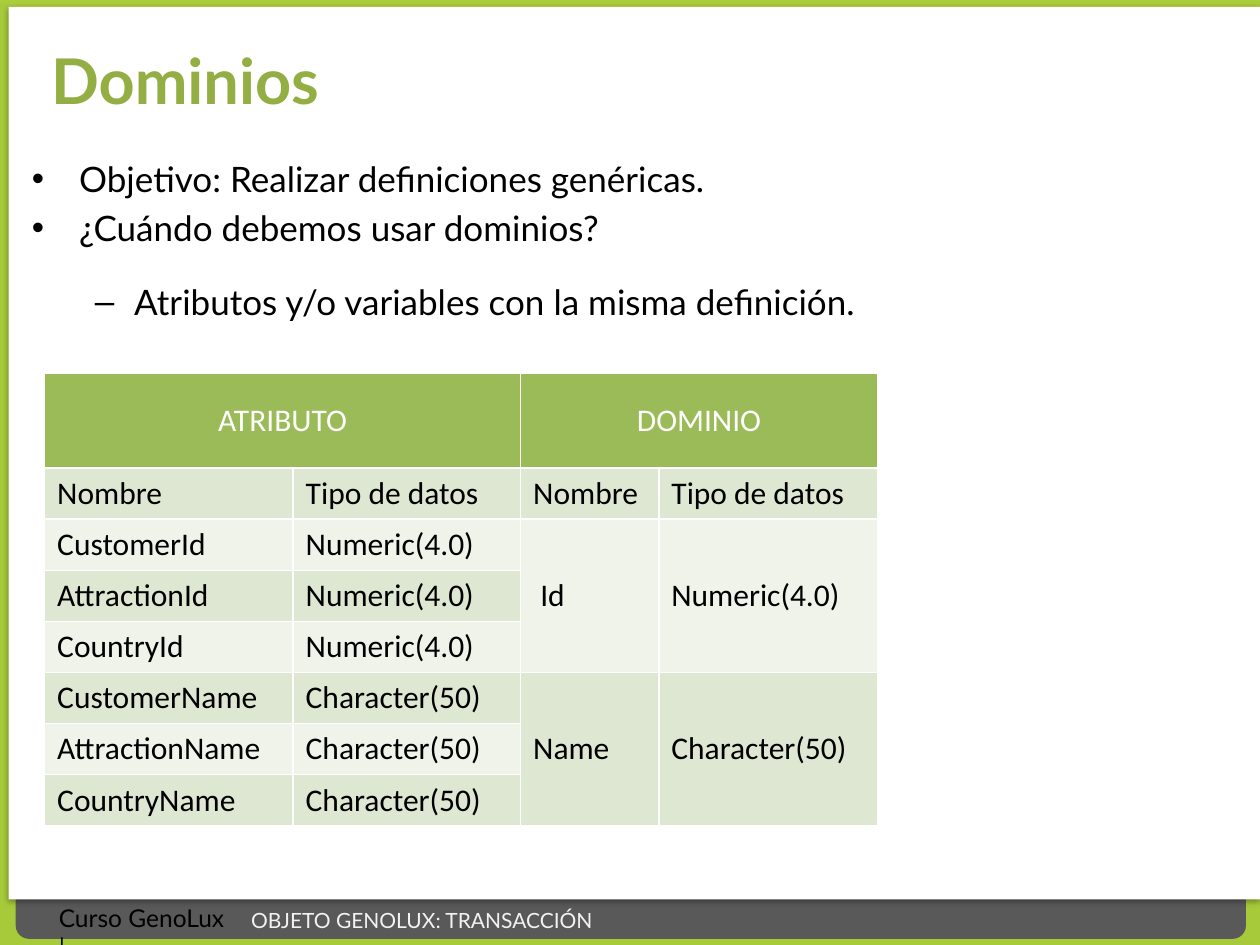
from lxml import etree
from pptx import Presentation
from pptx.dml.color import RGBColor
from pptx.enum import shapes, text
from pptx.oxml import ns
from pptx.util import Pt

COLORS = {
    "lime": "A6CE2A", "footer": "595959", "white": "FFFFFF", "black": "000000",
    "title": "93AE43", "header": "9BBB59", "dark_band": "DEE7D1",
    "light_band": "EFF3EA", "section": "F2F2F2",
}
BULLETS = [  # text, level, space before (None keeps the template's)
    ("Objetivo: Realizar definiciones genéricas.", 0, None),
    ("¿Cuándo debemos usar dominios?", 0, None),
    ("Atributos y/o variables con la misma definición.", 1, 18),
]
COLUMN_WIDTHS = [142, 130, 79, 125]
HEADER_HEIGHT, ROW_HEIGHT = 54, 28.8
DOMAINS = [  # domain, data type, attributes based on it
    (" Id", "Numeric(4.0)", ["CustomerId", "AttractionId", "CountryId"]),
    ("Name", "Character(50)", ["CustomerName", "AttractionName", "CountryName"]),
]


def rgb(name):
    return RGBColor.from_string(COLORS[name])


def place(item, left, top, width, height):
    item.left, item.top = Pt(left), Pt(top)
    item.width, item.height = Pt(width), Pt(height)


def add_run(paragraph, words, size, color, font="Lato", bold=False):
    run = paragraph.add_run()
    run.text = words
    run.font.name, run.font.size, run.font.bold = font, Pt(size), bold
    run.font.color.rgb = rgb(color)


def add_child(parent, tag, **attributes):
    child = etree.SubElement(parent, ns.qn(tag))
    for name, value in attributes.items():
        child.set(name, str(value))
    return child


def add_panel(slide, kind, box, color, opacity=100, shadow=False):
    panel = slide.shapes.add_shape(kind, *map(Pt, box))
    panel.shadow.inherit = False
    panel.fill.solid()
    panel.fill.fore_color.rgb = rgb(color)
    panel.line.fill.background()
    properties = panel._element.spPr
    if opacity < 100:
        fill_color = properties.find(".//" + ns.qn("a:srgbClr"))
        add_child(fill_color, "a:alpha", val=opacity * 1000)
    if shadow:
        outer = add_child(properties.find(ns.qn("a:effectLst")), "a:outerShdw",
                          blurRad=Pt(3.1), dist=Pt(1.8), dir=5400000,
                          rotWithShape=0)
        shade = add_child(outer, "a:srgbClr", val=COLORS["black"])
        add_child(shade, "a:alpha", val=35000)


def add_backdrop(slide):
    rectangle = shapes.MSO_SHAPE.RECTANGLE
    rounded = shapes.MSO_SHAPE.ROUNDED_RECTANGLE
    add_panel(slide, rectangle, (-2, -1.5, 725, 549), "lime", 88, shadow=True)
    add_panel(slide, rounded, (9, 491, 703, 45.5), "footer")
    add_panel(slide, rectangle, (5, 4, 715, 510), "white", shadow=True)


def add_label(slide, words, box, size, color, inset=None):
    label = slide.shapes.add_textbox(*map(Pt, box))
    frame = label.text_frame
    frame.word_wrap = True
    if inset is not None:
        frame.margin_left = frame.margin_right = Pt(inset)
        frame.margin_top = frame.margin_bottom = Pt(inset)
        frame.vertical_anchor = text.MSO_ANCHOR.MIDDLE
    add_run(frame.paragraphs[0], words, size, color)


def raise_to_front(placeholder):
    element = placeholder._element
    element.getparent().append(element)


def fill_title(title, words):
    raise_to_front(title)
    place(title, 22, 20, 672, 91)
    frame = title.text_frame
    frame.vertical_anchor = text.MSO_ANCHOR.TOP
    frame.paragraphs[0].alignment = text.PP_ALIGN.LEFT
    add_run(frame.paragraphs[0], words, 36, "title", bold=True)


def fill_bullets(body):
    raise_to_front(body)
    place(body, 11, 86.5, 548, 110)
    frame = body.text_frame
    for index, (words, level, gap) in enumerate(BULLETS):
        paragraph = frame.add_paragraph() if index else frame.paragraphs[0]
        paragraph.level = level
        if gap:
            paragraph.space_before = Pt(gap)
        add_run(paragraph, words, 20, "black")


def write_cell(cell, words, color="black", middle=False, centered=False):
    if middle:
        cell.vertical_anchor = text.MSO_ANCHOR.MIDDLE
    paragraph = cell.text_frame.paragraphs[0]
    if centered:
        paragraph.alignment = text.PP_ALIGN.CENTER
    add_run(paragraph, words, 18, color, font="Calibri")


def add_domain_table(slide):
    row_count = 2 + sum(len(attributes) for _, _, attributes in DOMAINS)
    height = HEADER_HEIGHT + ROW_HEIGHT * (row_count - 1)
    table = slide.shapes.add_table(
        row_count, len(COLUMN_WIDTHS), Pt(25.5), Pt(213.5),
        Pt(sum(COLUMN_WIDTHS)), Pt(height)).table
    for column, width in zip(table.columns, COLUMN_WIDTHS):
        column.width = Pt(width)
    for index, row in enumerate(table.rows):
        row.height = Pt(ROW_HEIGHT if index else HEADER_HEIGHT)
        band = ("dark_band" if index % 2 else "light_band") if index else "header"
        for cell in row.cells:
            cell.fill.solid()
            cell.fill.fore_color.rgb = rgb(band)

    for column, heading in ((0, "ATRIBUTO"), (2, "DOMINIO")):
        table.cell(0, column).merge(table.cell(0, column + 1))
        write_cell(table.cell(0, column), heading, "white", True, True)
        write_cell(table.cell(1, column), "Nombre")
        write_cell(table.cell(1, column + 1), "Tipo de datos")

    first = 2
    for domain, data_type, attributes in DOMAINS:
        last = first + len(attributes) - 1
        for row, attribute in enumerate(attributes, first):
            write_cell(table.cell(row, 0), attribute)
            write_cell(table.cell(row, 1), data_type)
        for column, words in ((2, domain), (3, data_type)):
            table.cell(first, column).merge(table.cell(last, column))
            write_cell(table.cell(first, column), words, middle=True)
        first = last + 1


def main():
    deck = Presentation()
    deck.slide_width, deck.slide_height = Pt(720), Pt(540)
    slide = deck.slides.add_slide(deck.slide_layouts[1])
    add_backdrop(slide)
    add_label(slide, "Curso GenoLux |", (26.5, 512.5, 115, 24.5), 14, "black")
    fill_title(slide.shapes.title, "Dominios")
    fill_bullets(slide.placeholders[1])
    add_domain_table(slide)
    add_label(slide, "OBJETO GENOLUX: TRANSACCIÓN", (143.5, 514, 307, 24),
              12, "section", inset=0)
    deck.save("out.pptx")


if __name__ == "__main__":
    main()
